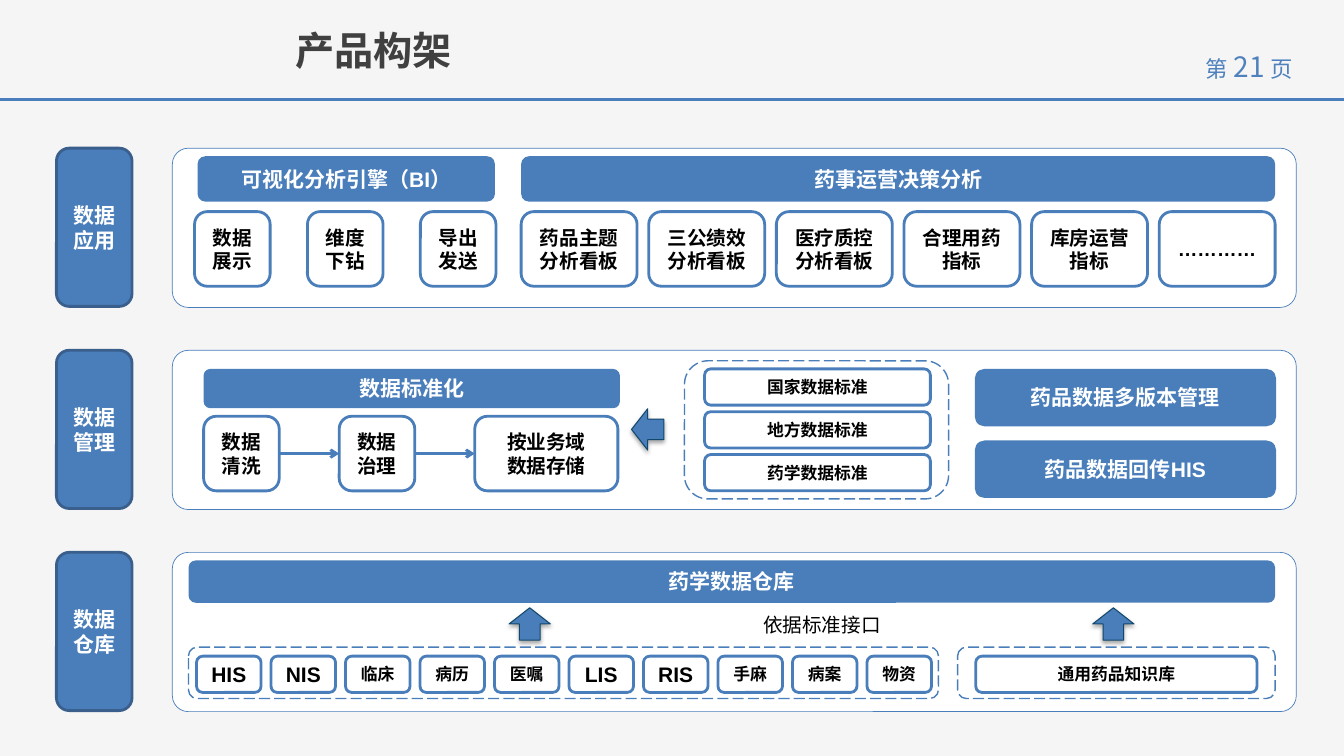
import dataclasses
import typing

import lxml.etree
import pptx
import pptx.dml.color
import pptx.enum.dml
import pptx.enum.shapes
import pptx.enum.text
import pptx.oxml.ns
import pptx.shapes.autoshape
import pptx.util

Shape = pptx.shapes.autoshape.Shape
Kind = pptx.enum.shapes.MSO_SHAPE
Align = pptx.enum.text.PP_ALIGN
Middle = pptx.enum.text.MSO_ANCHOR.MIDDLE
qn = pptx.oxml.ns.qn


@dataclasses.dataclass(frozen=True)
class Theme:
    back: str = "F5F5F5"
    white: str = "FFFFFF"
    black: str = "000000"
    blue: str = "4A7EBB"
    edge: str = "3A5F8C"
    rim: str = "11476A"
    rule: str = "4B7EBC"
    page: str = "4F81BD"
    title: str = "404040"
    latin: str = "Arial"
    asian: str = "Noto Sans CJK SC"
    huge: int = 28
    head: int = 15
    body: int = 14
    small: int = 12


T = Theme()


@dataclasses.dataclass(frozen=True)
class Look:
    fill: str = T.white
    line: str = T.blue
    width: float = 2
    ink: str = T.black
    size: int = T.body
    code: int = 0  # size of labels in Latin letters, if different
    dash: bool = False
    curve: float = 0.17
    inset: float = 1


BAND = Look(width=0.5, curve=0.1)
SIDE = Look(fill=T.blue, line=T.edge, ink=T.white, size=T.head)
HEAD = Look(fill=T.blue, line="", ink=T.white, size=T.head)
CARD = Look()
CHIP = Look(size=T.small, code=T.head, inset=0.5)
FRAME = Look(width=1, dash=True)


@dataclasses.dataclass(frozen=True)
class Group:
    """Equal boxes, one per label, each moved on by (dx, dy)."""
    look: Look
    labels: tuple[str, ...]
    x: float
    y: float
    w: float
    h: float
    dx: float = 0
    dy: float = 0


# Grid: one column or row is a tenth of an inch
COLS, ROWS = 133.33, 75
LEVEL, PITCH = 14.7, 20.05

GROUPS = (
    # Three levels
    Group(BAND, ("", "", ""), 17.1, LEVEL, 111.5, 15.8, dy=PITCH),
    Group(SIDE, ("数据应用", "数据管理", "数据\n仓库"), 5.6, LEVEL, 7.5, 15.7, dy=PITCH),
    # Application
    Group(HEAD, ("可视化分析引擎（BI）",), 19.6, 15.5, 29.5, 4.5),
    Group(HEAD, ("药事运营决策分析",), 51.7, 15.5, 74.8, 4.5),
    Group(CARD, ("数据展示", "维度下钻", "导出发送"), 19.3, 21, 7.5, 7.4, dx=11.2),
    Group(CARD, ("药品主题\n分析看板", "三公绩效\n分析看板", "医疗质控\n分析看板",
                 "合理用药\n指标", "库房运营指标", "…………"),
          51.7, 21, 11.5, 7.4, dx=12.66),
    # Management
    Group(HEAD, ("数据标准化",), 20.2, 36.6, 41.3, 3.9),
    Group(FRAME, ("",), 67.9, 35.8, 26.2, 13.7),
    Group(CHIP, ("国家数据标准", "地方数据标准", "药学数据标准"),
          69.9, 36.6, 22.4, 3.6, dy=4.25),
    Group(HEAD, ("药品数据多版本管理", "药品数据回传HIS"), 96.7, 36.6, 29.9, 5.7, dy=7.1),
    # Warehouse
    Group(HEAD, ("药学数据仓库",), 18.7, 55.6, 107.8, 4.2),
    Group(FRAME, ("",), 18.7, 64.2, 74.4, 5.1),
    Group(FRAME, ("",), 95, 64.2, 31.5, 5.1),
    Group(CHIP, ("HIS", "NIS", "临床", "病历", "医嘱", "LIS", "RIS", "手麻", "病案", "物资"),
          19.5, 65.1, 6.4, 3.6, dx=7.39),
    Group(CHIP, ("通用药品知识库",), 96.8, 65.1, 27.9, 3.6),
)
STEPS = (
    Group(CARD, ("数据清洗", "数据治理"), 20.2, 41.3, 7.5, 7.4, dx=13.45),
    Group(CARD, ("按业务域\n数据存储",), 47.1, 41.3, 14.2, 7.4),
)
# Block arrows: left, top, turn
ARROWS = ((50.5, 60.3, 180), (108.4, 60.3, 180), (62.2, 41, 90))


def cell(count: float) -> pptx.util.Emu:
    return pptx.util.Inches(count / 10)


def tint(code: str) -> pptx.dml.color.RGBColor:
    return pptx.dml.color.RGBColor.from_string(code)


def style(run: typing.Any, size: float, ink: str, bold: bool, face: str) -> None:
    run.font.size, run.font.bold = pptx.util.Pt(size), bold
    run.font.color.rgb = tint(ink)
    run.font.name = face
    lxml.etree.SubElement(run.font._element, qn("a:ea"), typeface=T.asian)


def write(shape: Shape, text: str, size: float, ink: str, bold: bool = True,
          face: str = T.latin, align: Align = Align.CENTER, inset: float = 1) -> None:
    frame = shape.text_frame
    frame.text = text
    frame.word_wrap = True
    frame.margin_left = frame.margin_right = cell(inset)
    for para in frame.paragraphs:
        para.alignment = align
        for run in para.runs:
            style(run, size, ink, bold, face)


def box(slide: typing.Any, look: Look, label: str,
        x: float, y: float, w: float, h: float) -> Shape:
    shape = slide.shapes.add_shape(Kind.ROUNDED_RECTANGLE, *map(cell, (x, y, w, h)))
    shape.shadow.inherit = False
    shape.adjustments[0] = look.curve
    shape.fill.solid()
    shape.fill.fore_color.rgb = tint(look.fill)
    if look.line:
        shape.line.color.rgb = tint(look.line)
        shape.line.width = pptx.util.Pt(look.width)
    else:
        shape.line.fill.background()
    if look.dash:
        shape.line.dash_style = pptx.enum.dml.MSO_LINE.LONG_DASH
    if label:
        size = look.code if look.code and label.isascii() else look.size
        write(shape, label, size, look.ink, inset=look.inset)
        shape.text_frame.vertical_anchor = Middle
    return shape


def draw(slide: typing.Any, group: Group) -> list[Shape]:
    return [box(slide, group.look, label, group.x + i * group.dx,
                group.y + i * group.dy, group.w, group.h)
            for i, label in enumerate(group.labels)]


def line(slide: typing.Any, ends: tuple[float, float, float, float],
         color: str, width: float) -> typing.Any:
    link = slide.shapes.add_connector(
        pptx.enum.shapes.MSO_CONNECTOR.STRAIGHT, *map(cell, ends))
    link.line.color.rgb = tint(color)
    link.line.width = pptx.util.Pt(width)
    lxml.etree.SubElement(link._element.spPr, qn("a:effectLst"))
    return link


def join(slide: typing.Any, first: Shape, second: Shape) -> None:
    link = line(slide, (0, 0, 1, 1), T.blue, 2)
    link.begin_connect(first, 3)
    link.end_connect(second, 1)
    lxml.etree.SubElement(link.line._get_or_add_ln(), qn("a:tailEnd"), type="arrow")


def arrow(slide: typing.Any, x: float, y: float, turn: int) -> None:
    shape = slide.shapes.add_shape(Kind.DOWN_ARROW, *map(cell, (x, y, 4.1, 3.2)))
    shape.rotation = turn
    shape.fill.solid()
    shape.fill.fore_color.rgb = tint(T.blue)
    shape.line.color.rgb = tint(T.rim)
    shape.line.width = pptx.util.Pt(0.75)
    shape.shadow.inherit = False
    shade = lxml.etree.SubElement(
        shape._element.spPr.find(qn("a:effectLst")), qn("a:outerShdw"),
        blurRad=str(pptx.util.Pt(3.1)), dist=str(pptx.util.Pt(1.8)),
        dir="5400000", rotWithShape="0")
    color = lxml.etree.SubElement(shade, qn("a:srgbClr"), val=T.black)
    lxml.etree.SubElement(color, qn("a:alpha"), val="35000")


def note(slide: typing.Any, x: float, y: float, w: float, h: float) -> Shape:
    return slide.shapes.add_textbox(*map(cell, (x, y, w, h)))


def main() -> None:
    deck = pptx.Presentation()
    deck.slide_width, deck.slide_height = cell(COLS), cell(ROWS)
    slide = deck.slides.add_slide(deck.slide_layouts[6])
    slide.background.fill.solid()
    slide.background.fill.fore_color.rgb = tint(T.back)

    # Page number, rule and title
    page = note(slide, 118.1, 4.4, 11.7, 4.4)
    write(page, "", 16, T.page, inset=1.5)
    para = page.text_frame.paragraphs[0]
    for text, size in (("第", 16), (" ", 18), ("21", 20), (" ", 18), ("页", 16)):
        run = para.add_run()
        run.text = text
        style(run, size, T.page, False, T.asian)
    line(slide, (0, 9.9, COLS, 9.9), T.rule, 2.25)
    write(note(slide, 28.3, 2.1, 69.8, 5.7), "产品构架", T.huge, T.title,
          face=T.asian, align=Align.LEFT)

    # Boxes
    for group in GROUPS:
        draw(slide, group)

    # Flow of steps
    steps = [shape for group in STEPS for shape in draw(slide, group)]
    for first, second in zip(steps, steps[1:]):
        join(slide, first, second)

    # Block arrows and their label
    for x, y, turn in ARROWS:
        arrow(slide, x, y, turn)
    label = note(slide, 74.7, 60.3, 13.7, 3.4)
    write(label, "依据标准接口", T.body, T.black, bold=False, inset=0.5)
    label.text_frame.vertical_anchor = Middle

    deck.save("out.pptx")


if __name__ == "__main__":
    main()
